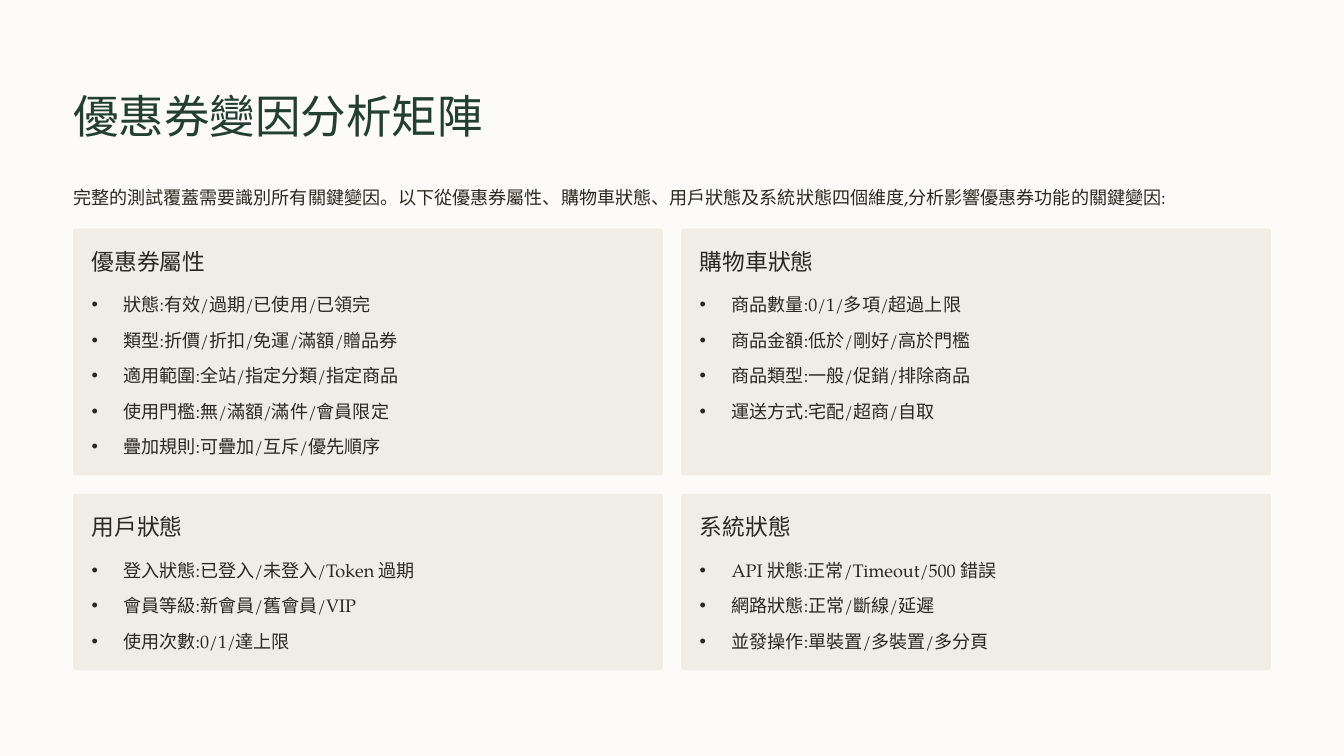
from lxml import etree
from pptx import Presentation
from pptx import util as u
from pptx.dml.color import RGBColor
from pptx.enum import shapes, text
from pptx.oxml import ns

COLOURS = {"page": "FCFBF8", "card": "F0EDE6", "title": "233E32", "ink": "2C2821"}
HEADING_FONT, BODY_FONT = "Arial", "TeX Gyre Pagella"

# Card grid
LEFT, TOP, CARD_WIDTH, GAP, PAD = 0.87, 2.72, 7.02, 0.22, 0.22
ROW_HEIGHTS = (2.94, 2.1)
CORNER = 0.033
INDENT = 0.38

TITLE = "優惠券變因分析矩陣"
INTRO = ("完整的測試覆蓋需要識別所有關鍵變因。以下從優惠券屬性、購物車狀態、"
         "用戶狀態及系統狀態四個維度,分析影響優惠券功能的關鍵變因:")
DIMENSIONS = [
    ("優惠券屬性", ["狀態:有效/過期/已使用/已領完",
               "類型:折價/折扣/免運/滿額/贈品券",
               "適用範圍:全站/指定分類/指定商品",
               "使用門檻:無/滿額/滿件/會員限定",
               "疊加規則:可疊加/互斥/優先順序"]),
    ("購物車狀態", ["商品數量:0/1/多項/超過上限",
               "商品金額:低於/剛好/高於門檻",
               "商品類型:一般/促銷/排除商品",
               "運送方式:宅配/超商/自取"]),
    ("用戶狀態", ["登入狀態:已登入/未登入/Token 過期",
              "會員等級:新會員/舊會員/VIP",
              "使用次數:0/1/達上限"]),
    ("系統狀態", ["API 狀態:正常/Timeout/500 錯誤",
              "網路狀態:正常/斷線/延遲",
              "並發操作:單裝置/多裝置/多分頁"]),
]


def place(shape, left, top, width, height):
    shape.left, shape.top = u.Inches(left), u.Inches(top)
    shape.width, shape.height = u.Inches(width), u.Inches(height)


def add_bullet(paragraph):
    props = paragraph._p.get_or_add_pPr()
    props.set("marL", str(u.Inches(INDENT)))
    props.set("indent", str(-u.Inches(INDENT)))
    etree.SubElement(props, ns.qn("a:buFont")).set("typeface", "Arial")
    etree.SubElement(props, ns.qn("a:buChar")).set("char", "•")


def write(shape, lines, *, size=15.5, font=BODY_FONT, colour="ink",
          leading=25, gap=0, bullets=False):
    frame = shape.text_frame
    frame.word_wrap = True
    frame.auto_size = text.MSO_AUTO_SIZE.NONE
    frame.vertical_anchor = text.MSO_ANCHOR.TOP
    frame.margin_left = frame.margin_right = 0
    frame.margin_top = frame.margin_bottom = 0
    for number, line in enumerate(lines):
        paragraph = frame.add_paragraph() if number else frame.paragraphs[0]
        paragraph.text = line
        if bullets:
            add_bullet(paragraph)
        paragraph.alignment = text.PP_ALIGN.LEFT
        paragraph.line_spacing = u.Pt(leading)
        paragraph.space_before = u.Pt(gap if number else 0)
        paragraph.space_after = u.Pt(0)
        for run in paragraph.runs:
            run.font.name = font
            run.font.size = u.Pt(size)
            run.font.bold = False
            run.font.color.rgb = RGBColor.from_string(COLOURS[colour])


def add_text(slide, line, left, top, width, height, **style):
    box = slide.shapes.add_textbox(0, 0, 0, 0)
    place(box, left, top, width, height)
    write(box, [line], **style)


def add_card(slide, left, top, height):
    card = slide.shapes.add_shape(shapes.MSO_SHAPE.ROUNDED_RECTANGLE, 0, 0, 0, 0)
    place(card, left, top, CARD_WIDTH, height)
    card.adjustments[0] = CORNER / height
    card.fill.solid()
    card.fill.fore_color.rgb = RGBColor.from_string(COLOURS["card"])
    card.line.fill.background()
    card.shadow.inherit = False
    # Keep the card behind its list
    slide.shapes._spTree.insert(2, card._element)


def add_dimension(slide, points_holder, index, heading, points):
    row, column = divmod(index, 2)
    left = LEFT + column * (CARD_WIDTH + GAP)
    top = TOP + sum(ROW_HEIGHTS[:row]) + row * GAP
    height = ROW_HEIGHTS[row]
    add_card(slide, left, top, height)
    add_text(slide, heading, left + PAD, top + PAD, 2.71, 0.34,
             size=19.5, font=HEADING_FONT, leading=24)
    place(points_holder, left + PAD, top + 0.69, CARD_WIDTH - 2 * PAD, height - 0.89)
    write(points_holder, points, gap=5.4, bullets=True)


def main():
    deck = Presentation()
    deck.slide_width, deck.slide_height = u.Inches(16), u.Inches(9)
    # The comparison layout has a title and four bodies
    slide = deck.slides.add_slide(deck.slide_layouts.get_by_name("Comparison"))
    slide.background.fill.solid()
    slide.background.fill.fore_color.rgb = RGBColor.from_string(COLOURS["page"])

    # Title and introduction
    title, *bodies = slide.placeholders
    place(title, LEFT, 1.02, 14.26, 0.68)
    write(title, [TITLE], size=39, font=HEADING_FONT, colour="title", leading=48.5)
    add_text(slide, INTRO, LEFT, 2.13, 14.26, 0.35)

    # Four dimensions
    for index, (body, (heading, points)) in enumerate(zip(bodies, DIMENSIONS)):
        add_dimension(slide, body, index, heading, points)

    deck.save("out.pptx")


if __name__ == "__main__":
    main()
